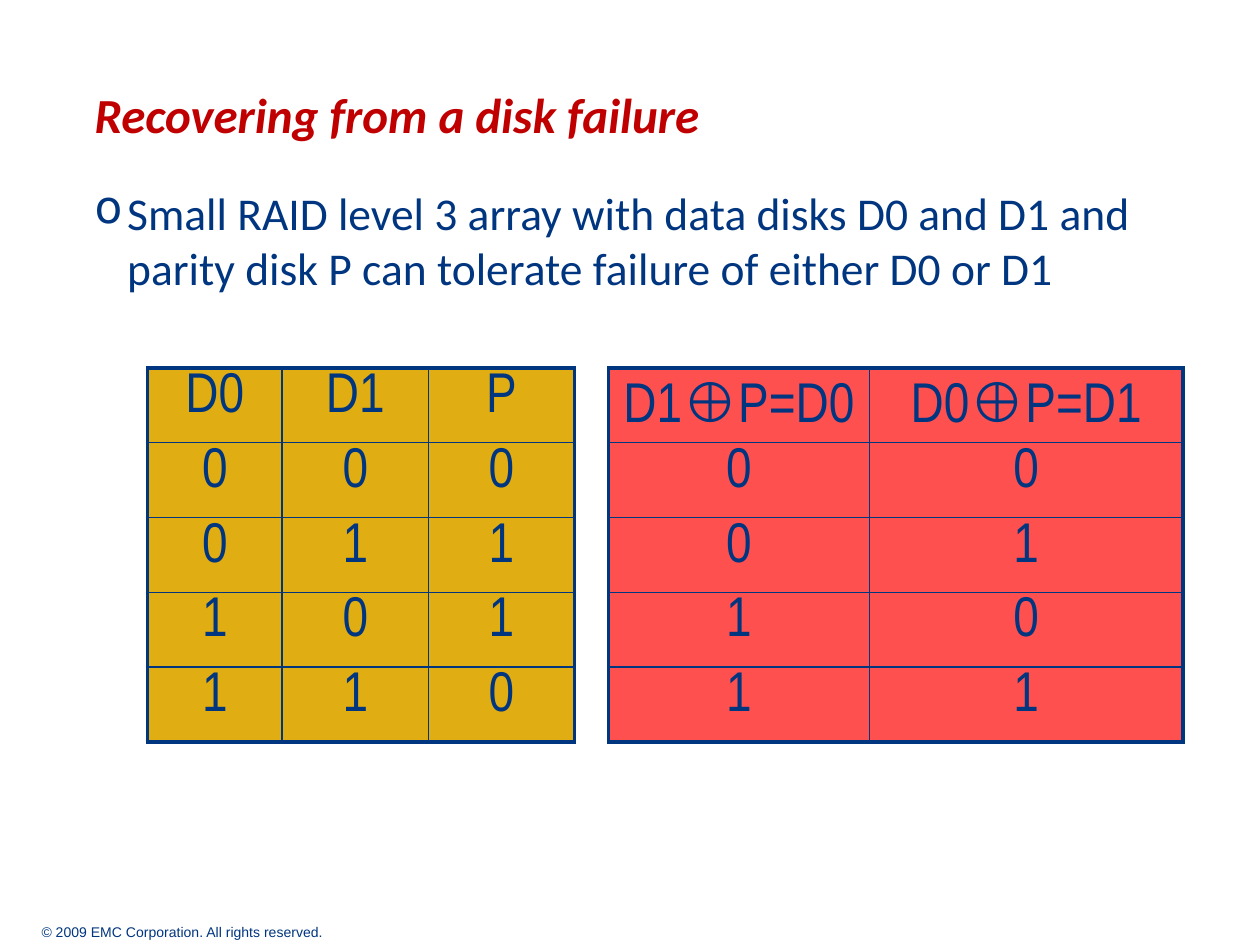
import pptx
import pptx.dml.color
import pptx.enum.text
import pptx.oxml
import pptx.oxml.ns
import pptx.util
from pptx.util import Inches

NAVY = "003580"
RED = "C00000"
GOLD = "E0AD12"
CORAL = "FF5050"
ROW_HEIGHT = 0.594
XOR = "⊕"


def rgb(color):
    return pptx.dml.color.RGBColor.from_string(color)


def add_span(para, text, *, size, font="Calibri", color=NAVY, bold=False, italic=False):
    span = para.add_run()
    span.text = text
    span.font.name = font
    span.font.size = pptx.util.Pt(size)
    span.font.color.rgb = rgb(color)
    span.font.bold = bold
    span.font.italic = italic


def prepare_frame(box, wrap=True, anchor=pptx.enum.text.MSO_ANCHOR.TOP):
    frame = box.text_frame
    frame.margin_left = frame.margin_top = frame.margin_right = frame.margin_bottom = 0
    frame.auto_size = pptx.enum.text.MSO_AUTO_SIZE.NONE
    frame.word_wrap = wrap
    frame.vertical_anchor = anchor
    return frame.paragraphs[0]


def add_title(page, text):
    title = page.shapes.title
    title.left, title.top = Inches(0.75), Inches(0.67)
    title.width, title.height = Inches(8.5), Inches(1.25)
    para = prepare_frame(title)
    para.alignment = pptx.enum.text.PP_ALIGN.LEFT
    add_span(para, text, size=28, color=RED, bold=True, italic=True)


def add_bullet(para, symbol, indent):
    properties = para._p.get_or_add_pPr()
    properties.set("marL", str(Inches(indent)))
    properties.set("indent", str(-Inches(indent)))
    namespace = pptx.oxml.ns.nsdecls("a")
    for xml in (
        f'<a:buClr {namespace}><a:srgbClr val="{NAVY}"/></a:buClr>',
        f'<a:buChar {namespace} char="{symbol}"/>',
    ):
        properties.append(pptx.oxml.parse_xml(xml))


def add_body(page, text):
    box = page.shapes.add_textbox(Inches(0.75), Inches(1.47), Inches(8.81), Inches(1))
    para = prepare_frame(box)
    add_bullet(para, "o", 0.26)
    add_span(para, text, size=26)


def add_footer(page, text):
    box = page.shapes.add_textbox(Inches(0.33), Inches(7.31), Inches(2.44), Inches(0.17))
    para = prepare_frame(box, wrap=False, anchor=pptx.enum.text.MSO_ANCHOR.MIDDLE)
    add_span(para, text, size=8, font="Arial")


def set_borders(cell, outer_sides):
    properties = cell._tc.get_or_add_tcPr()
    for side in "LRTB":
        width = pptx.util.Pt(2.25 if side in outer_sides else 1)
        properties.append(pptx.oxml.parse_xml(
            f'<a:ln{side} {pptx.oxml.ns.nsdecls("a")} w="{width}">'
            f'<a:solidFill><a:srgbClr val="{NAVY}"/></a:solidFill></a:ln{side}>'
        ))


def fill_cell(cell, text, fill):
    cell.fill.solid()
    cell.fill.fore_color.rgb = rgb(fill)
    cell.margin_left = cell.margin_right = Inches(0.1)
    cell.margin_top = cell.margin_bottom = Inches(0.03)
    para = cell.text_frame.paragraphs[0]
    para.alignment = pptx.enum.text.PP_ALIGN.CENTER
    for part in filter(None, text.partition(XOR)):
        is_symbol = part == XOR
        add_span(para, part, size=32, bold=is_symbol,
                 font="Arial" if is_symbol else "Arial Narrow")


def add_bit_table(page, left, widths, rows, fill):
    last_row, last_column = len(rows) - 1, len(widths) - 1
    table = page.shapes.add_table(
        len(rows), len(widths), Inches(left), Inches(2.92),
        Inches(sum(widths)), Inches(ROW_HEIGHT * len(rows)),
    ).table
    for column, width in zip(table.columns, widths):
        column.width = Inches(width)
    for y, row in enumerate(rows):
        for x, text in enumerate(row):
            cell = table.cell(y, x)
            edges = {"L": x == 0, "R": x == last_column, "T": y == 0, "B": y == last_row}
            set_borders(cell, [side for side, is_outer in edges.items() if is_outer])
            fill_cell(cell, text, fill)


def main():
    deck = pptx.Presentation()
    deck.slide_width, deck.slide_height = Inches(10), Inches(7.5)
    page = deck.slides.add_slide(deck.slide_layouts.get_by_name("Title Only"))
    add_footer(page, "© 2009 EMC Corporation. All rights reserved.")
    add_title(page, "Recovering from a disk failure")
    add_body(page, "Small RAID level 3 array with data disks D0 and D1 and "
                   "parity disk P can tolerate failure of either D0 or D1")
    add_bit_table(page, 1.17, [1.07, 1.16, 1.16],
                  [["D0", "D1", "P"], "000", "011", "101", "110"], GOLD)
    add_bit_table(page, 4.83, [2.07, 2.49],
                  [["D1⊕P=D0", "D0⊕P=D1"], "00", "01", "10", "11"], CORAL)
    deck.save("out.pptx")


if __name__ == "__main__":
    main()
